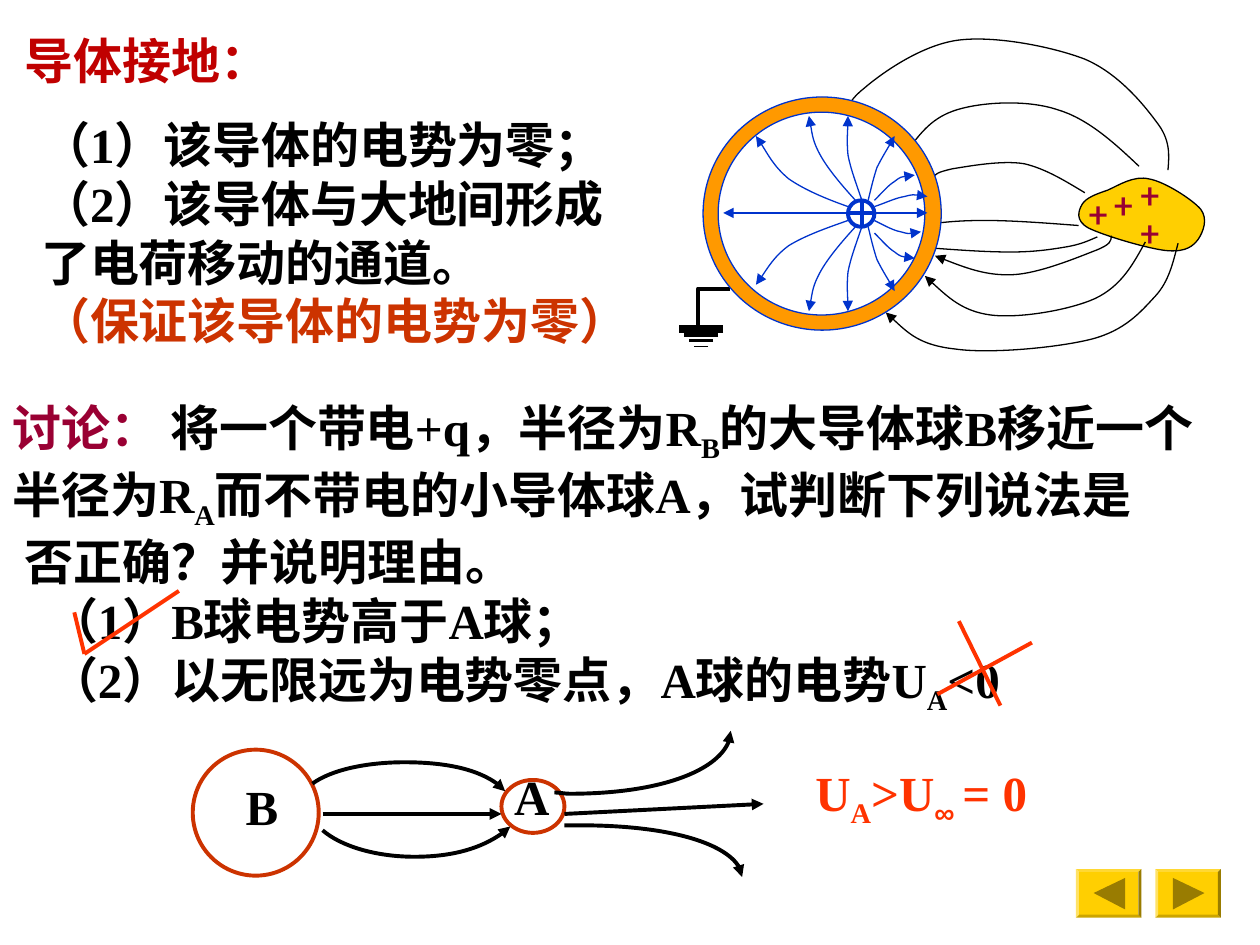
from collections import namedtuple

from lxml import etree
from pptx import Presentation
from pptx.dml.color import RGBColor
from pptx.enum import shapes, text
from pptx.oxml import ns
from pptx.util import Cm, Pt

BLACK = RGBColor(0x00, 0x00, 0x00)
WHITE = RGBColor(0xFF, 0xFF, 0xFF)
RED = RGBColor(0xC0, 0x00, 0x00)
CRIMSON = RGBColor(0x99, 0x00, 0x33)
RUST = RGBColor(0xCC, 0x33, 0x00)
SCARLET = RGBColor(0xFF, 0x33, 0x00)
ORANGE = RGBColor(0xFF, 0x99, 0x00)
GOLD = RGBColor(0xFF, 0xCF, 0x01)
DARK_GOLD = RGBColor(0x99, 0x7C, 0x01)
BLUE = RGBColor(0x00, 0x33, 0xCC)
SERIF = "Times New Roman"
GRID = Cm(0.0254)

Box = namedtuple("Box", "left top width height")
Piece = namedtuple("Piece", "words color low font", defaults=(BLACK, False, SERIF))


def inner_box(box, x, y, width, height):
    return Box(box.left + x * GRID, box.top + y * GRID, width * GRID, height * GRID)


def stroke(shape, color, width, arrow=None):
    shape.line.color.rgb = color
    shape.line.width = Pt(width)
    properties = shape._element.spPr
    if arrow:
        line = properties.find(ns.qn("a:ln"))
        etree.SubElement(line, ns.qn("a:" + arrow), type="triangle")
    etree.SubElement(properties, ns.qn("a:effectLst"))


def add_line(slide, box, start, end, color, width, arrow=None):
    (x1, y1), (x2, y2) = start, end
    connector = slide.shapes.add_connector(
        shapes.MSO_CONNECTOR.STRAIGHT,
        box.left + x1 * GRID, box.top + y1 * GRID,
        box.left + x2 * GRID, box.top + y2 * GRID)
    stroke(connector, color, width, arrow)


def add_outline(slide, box, points, closed=False):
    corners = [(x * GRID, y * GRID) for x, y in points]
    builder = slide.shapes.build_freeform(*corners[0])
    builder.add_line_segments(corners[1:], close=closed)
    shape = builder.convert_to_shape(box.left, box.top)
    shape.fill.background()
    return shape


def add_curve(slide, box, points, color, width, arrow=None, closed=False):
    shape = add_outline(slide, box, points, closed)
    segments = shape._element.xpath(".//a:lnTo")
    for first, second, third in zip(segments[::3], segments[1::3], segments[2::3]):
        bezier = etree.Element(ns.qn("a:cubicBezTo"))
        first.addprevious(bezier)
        for segment in (first, second, third):
            bezier.append(segment[0])
            segment.getparent().remove(segment)
    stroke(shape, color, width, arrow)
    return shape


def add_ellipse(slide, box, fill, color, width):
    shape = slide.shapes.add_shape(shapes.MSO_SHAPE.OVAL, *box)
    if fill is None:
        shape.fill.background()
    else:
        shape.fill.solid()
        shape.fill.fore_color.rgb = fill
    stroke(shape, color, width)


def add_text(slide, box, paragraphs, size=28, bold=True, wrap=False, centred=True,
             anchor=text.MSO_ANCHOR.MIDDLE, indents=()):
    shape = slide.shapes.add_textbox(*box)
    frame = shape.text_frame
    frame.word_wrap = wrap
    frame.auto_size = text.MSO_AUTO_SIZE.SHAPE_TO_FIT_TEXT
    frame.vertical_anchor = anchor
    for number, pieces in enumerate(paragraphs):
        paragraph = frame.add_paragraph() if number else frame.paragraphs[0]
        paragraph.alignment = text.PP_ALIGN.CENTER if centred else text.PP_ALIGN.LEFT
        if indents:
            paragraph._p.get_or_add_pPr().set("indent", str(Cm(indents[number])))
        for piece in pieces:
            run = paragraph.add_run()
            run.text = piece.words
            run.font.size = Pt(size)
            run.font.bold = bold
            run.font.name = piece.font
            run.font.color.rgb = piece.color
            if piece.low:
                run._r.get_or_add_rPr().set("baseline", "-25000")
    return shape


def add_discussion(slide, box):
    add_text(slide, box, [
        [Piece("讨论：", CRIMSON), Piece(" 将一个带电+q，半径为R"), Piece("B", low=True),
         Piece("的大导体球B移近一个半径为R"), Piece("A", low=True),
         Piece("而不带电的小导体球A，试判断下列说法是")],
        [Piece("否正确？并说明理由。")],
        [Piece("（1）B球电势高于A球；")],
        [Piece("（2）以无限远为电势零点，A球的电势U"), Piece("A", low=True), Piece("<0")],
    ], wrap=True, centred=False, indents=(0, 0.25, 0.74, 0.74))


def add_spheres(slide, box):
    add_ellipse(slide, inner_box(box, 53, 95, 100, 100), WHITE, RUST, 2.25)
    add_ellipse(slide, inner_box(box, 298, 119, 50, 42), WHITE, RUST, 2.25)
    add_text(slide, inner_box(box, 85, 111, 46, 57), [[Piece("B")]])
    add_text(slide, inner_box(box, 298, 103, 48, 57), [[Piece("A")]])
    for points in (
        [(156, 159), (171, 172), (199, 180), (229, 180), (261, 180), (291, 170), (305, 156)],
        [(148, 122), (163, 111), (191, 105), (221, 105), (257, 105), (290, 114), (301, 128)],
        [(340, 129), (344, 129), (348, 130), (352, 130), (423, 130), (481, 108), (480, 80)],
        [(348, 155), (352, 155), (356, 155), (360, 155), (431, 155), (489, 173), (489, 196)],
    ):
        add_curve(slide, box, points, BLACK, 2.25, "tailEnd")
    add_line(slide, box, (156, 146), (298, 146), BLACK, 2.25, "tailEnd")
    add_line(slide, box, (348, 146), (506, 138), BLACK, 2.25, "tailEnd")


def add_marks(slide, box):
    for start, end in (((59, 36), (67, 69)), ((67, 69), (142, 19)),
                       ((761, 43), (794, 110)), ((744, 101), (819, 60))):
        add_line(slide, box, start, end, SCARLET, 2.25)


def add_ground(slide, box):
    stroke(add_outline(slide, box, [(79, 229), (54, 229), (54, 261)]), BLACK, 2.25)
    for half, y, width in ((17.5, 261, 4.5), (13.5, 266, 2.25), (9.5, 270, 1.5), (5.5, 275, 0.75)):
        add_line(slide, box, (56.5 + half, y), (56.5 - half, y), BLACK, width)


def add_charged_body(slide, box):
    body = add_curve(slide, box, [
        (379, 151), (388, 147), (400, 139), (412, 142), (424, 144), (446, 158), (453, 166),
        (459, 174), (455, 184), (451, 190), (447, 195), (442, 200), (427, 199),
        (413, 198), (376, 187), (364, 181), (353, 175), (356, 167), (359, 162),
        (362, 157), (370, 154), (379, 151)], BLACK, 0.75, closed=True)
    body.fill.solid()
    body.fill.fore_color.rgb = GOLD
    for x, y in ((395, 133), (354, 148), (374, 141), (395, 163)):
        add_text(slide, inner_box(box, x, y, 36, 44), [[Piece("+", CRIMSON, font="Roboto Slab")]],
                 size=20, bold=False, centred=False, anchor=text.MSO_ANCHOR.TOP)


def add_outer_field(slide, box):
    for points in (
        [(228, 179), (244, 177), (260, 175), (282, 175), (303, 175), (330, 177), (356, 179)],
        [(228, 196), (255, 198), (282, 200), (302, 200), (321, 200), (334, 198), (346, 196),
         (358, 194), (364, 191), (371, 188)],
        [(234, 146), (239, 141), (243, 137), (256, 134), (269, 132), (295, 127), (313, 130),
         (330, 134), (346, 144), (361, 153)],
        [(242, 203), (262, 211), (283, 219), (304, 218), (325, 217), (356, 204), (369, 199),
         (382, 194), (382, 191), (382, 187)],
        [(216, 125), (228, 109), (240, 93), (260, 87), (280, 81), (315, 79), (339, 87),
         (363, 94), (384, 113), (404, 132)],
        [(173, 104), (172, 93), (171, 82), (186, 70), (200, 58), (231, 36), (260, 32),
         (289, 28), (335, 37), (361, 47), (387, 58), (407, 82), (418, 97),
         (429, 111), (428, 123), (427, 135)],
        [(234, 219), (249, 233), (264, 247), (286, 250), (309, 253), (349, 246), (369, 237),
         (390, 227), (399, 210), (409, 192)],
        [(203, 248), (217, 261), (230, 274), (258, 277), (285, 281), (340, 276), (367, 269),
         (393, 262), (405, 248), (417, 235), (428, 223), (431, 208), (435, 193)],
    ):
        add_curve(slide, box, points, BLACK, 0.75, "headEnd")


def add_shell(slide, box):
    add_ellipse(slide, inner_box(box, 58, 77, 189, 185), ORANGE, BLUE, 0.75)
    add_ellipse(slide, inner_box(box, 70, 89, 164, 161), WHITE, BLUE, 0.75)
    add_line(slide, box, (173, 169), (194, 169), BLUE, 2.25)
    add_line(slide, box, (184, 159), (184, 180), BLUE, 2.25)
    add_ellipse(slide, inner_box(box, 173, 159, 21, 21), None, BLUE, 2.25)
    add_line(slide, box, (194, 169), (236, 169), BLUE, 0.75, "tailEnd")
    add_line(slide, box, (173, 169), (74, 169), BLUE, 0.75, "tailEnd")
    upper = [
        (339, [(179, 159), (168, 147), (157, 134), (151, 123), (145, 112), (144, 102), (142, 92)]),
        (339, [(184, 159), (180, 147), (175, 134), (173, 123), (172, 112), (173, 102), (173, 92)]),
        (339, [(189, 159), (191, 151), (193, 142), (196, 133), (200, 125), (208, 112), (210, 108)]),
        (344, [(194, 159), (200, 153), (205, 147), (210, 144), (215, 140), (221, 139), (226, 139)]),
    ]
    curves = [
        [(173, 164), (156, 158), (139, 151), (126, 142), (114, 132), (104, 113), (100, 108)],
        [(173, 175), (156, 181), (139, 187), (126, 195), (114, 204), (104, 221), (100, 226)],
        [(194, 164), (203, 161), (211, 157), (218, 156), (225, 154), (231, 155), (236, 156)],
        [(194, 175), (202, 179), (209, 183), (215, 184), (222, 186), (226, 185), (231, 184)],
    ]
    for mirror, points in upper:
        curves += [points, [(x, mirror - y) for x, y in points]]
    for points in curves:
        add_curve(slide, box, points, BLUE, 0.75, "tailEnd")


def add_grounded_conductor(slide, box):
    add_ground(slide, box)
    add_charged_body(slide, box)
    add_outer_field(slide, box)
    add_shell(slide, box)


def add_conditions(slide, box):
    shape = add_text(slide, box, [
        [Piece("（1）该导体的电势为零；")],
        [Piece("（2）该导体与大地间形成了电荷移动的通道。")],
        [Piece("（保证该导体的电势为零）", RUST)],
    ], wrap=True, centred=False)
    shape.fill.solid()
    shape.fill.fore_color.rgb = WHITE


def add_button(slide, box, triangle):
    button = slide.shapes.add_shape(shapes.MSO_SHAPE.BEVEL, *box)
    button.adjustments[0] = 0.06
    symbol = add_outline(slide, box, triangle, closed=True)
    for shape, color in ((button, GOLD), (symbol, DARK_GOLD)):
        shape.fill.solid()
        shape.fill.fore_color.rgb = color
        shape.line.fill.background()
        shape.shadow.inherit = False


def main():
    presentation = Presentation()
    presentation.slide_width, presentation.slide_height = Cm(25.4), Cm(19.05)
    slide = presentation.slides.add_slide(presentation.slide_layouts[6])
    add_discussion(slide, Box(Cm(0), Cm(7.29), Cm(24.51), Cm(7.87)))
    add_spheres(slide, Box(Cm(2.54), Cm(12.7), Cm(12.85), Cm(5.08)))
    add_marks(slide, Box(Cm(0), Cm(11.43), Cm(25.4), Cm(2.8)))
    add_text(slide, Box(Cm(16.18), Cm(15.24), Cm(4.78), Cm(1.6)), [
        [Piece("U", SCARLET), Piece("A", SCARLET, True), Piece(">U", SCARLET),
         Piece("∞ ", SCARLET, True, "Arial"), Piece("= 0", SCARLET)]])
    add_text(slide, Box(Cm(0.25), Cm(0.48), Cm(5.44), Cm(1.45)), [[Piece("导体接地：", RED)]])
    add_grounded_conductor(slide, Box(Cm(12.7), Cm(0), Cm(12.7), Cm(7.2)))
    add_conditions(slide, Box(Cm(0.58), Cm(2.18), Cm(12.6), Cm(5)))
    add_button(slide, Box(Cm(23.29), Cm(17.52), Cm(1.32), Cm(0.98)), [(14, 7), (39, 19), (14, 32)])
    add_button(slide, Box(Cm(21.69), Cm(17.52), Cm(1.32), Cm(0.98)), [(14, 19), (39, 7), (39, 32)])
    presentation.save("out.pptx")


if __name__ == "__main__":
    main()
